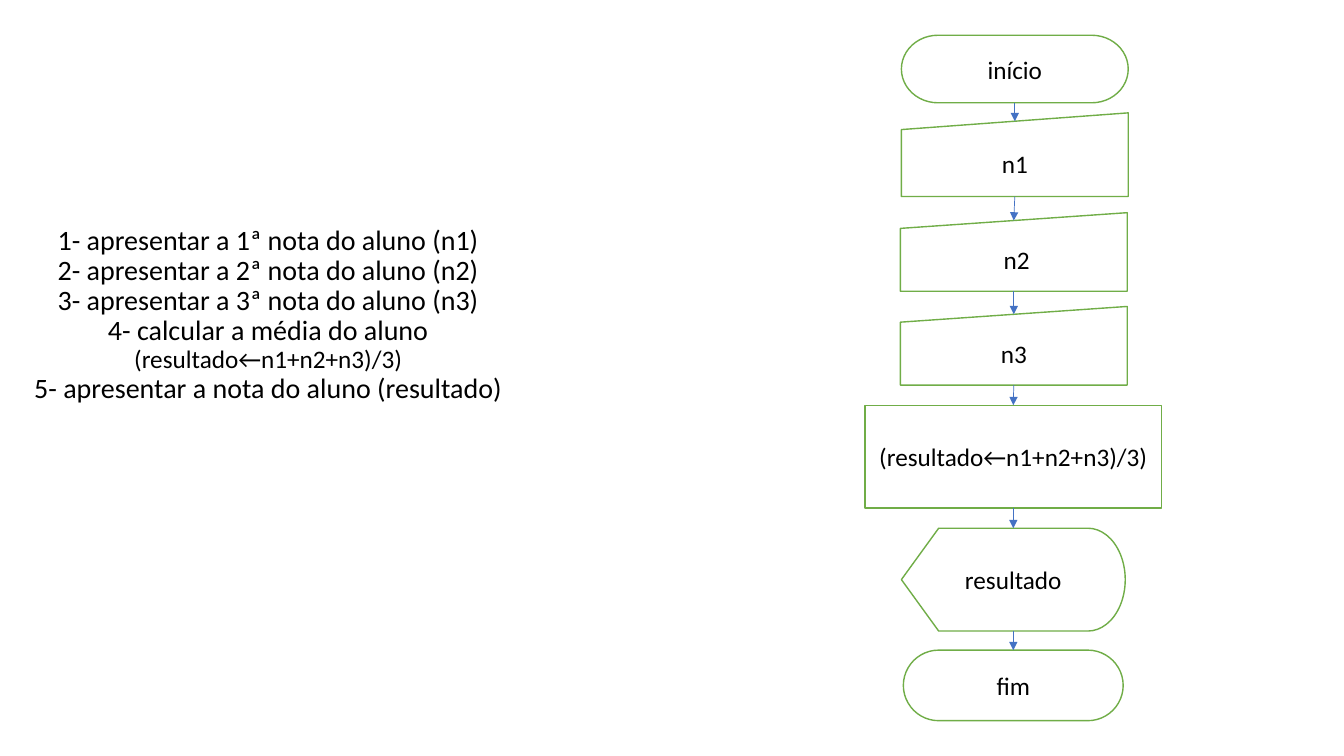
from lxml import etree
from pptx import Presentation
from pptx.dml.color import RGBColor
from pptx.enum.shapes import MSO_CONNECTOR, MSO_SHAPE
from pptx.enum.text import MSO_ANCHOR, PP_ALIGN
from pptx.oxml.ns import qn
from pptx.util import Inches, Pt

BLACK = RGBColor(0x00, 0x00, 0x00)
WHITE = RGBColor(0xFF, 0xFF, 0xFF)
GREEN = RGBColor(0x70, 0xAD, 0x47)
BLUE = RGBColor(0x44, 0x72, 0xC4)

TERMINATOR = MSO_SHAPE.FLOWCHART_TERMINATOR
MANUAL_INPUT = MSO_SHAPE.FLOWCHART_MANUAL_INPUT
PROCESS = MSO_SHAPE.FLOWCHART_PROCESS
DISPLAY = MSO_SHAPE.FLOWCHART_DISPLAY
STRAIGHT = MSO_CONNECTOR.STRAIGHT
CENTER = PP_ALIGN.CENTER
MIDDLE, BOTTOM = MSO_ANCHOR.MIDDLE, MSO_ANCHOR.BOTTOM

TOP_SITE, BOTTOM_SITE = 0, 2
FORMULA = "(resultado←n1+n2+n3)/3)"


def add_run(paragraph, text, size=18, color=BLACK, font="Calibri"):
    run = paragraph.add_run()
    run.text = text
    run.font.size = Pt(size)
    run.font.name = font
    run.font.color.rgb = color


class FlowSlide:
    """Holds the slide and the flowchart style."""

    def __init__(self, slide, fill=WHITE, outline=GREEN, arrow=BLUE):
        self.slide = slide
        self.fill, self.outline, self.arrow_color = fill, outline, arrow

    def text_lines(self, lines, left, top, width, height):
        """Bottom-anchored paragraph of (text, size) lines."""
        box = self.slide.shapes.add_textbox(
            Inches(left), Inches(top), Inches(width), Inches(height))
        frame = box.text_frame
        frame.word_wrap = True
        frame.vertical_anchor = BOTTOM
        paragraph = frame.paragraphs[0]
        paragraph.alignment = CENTER
        paragraph.line_spacing = 0.9
        for number, (text, size) in enumerate(lines):
            if number:
                paragraph.add_line_break()
            add_run(paragraph, text, size=size)

    def step(self, kind, text, left, top, width, height):
        shape = self.slide.shapes.add_shape(
            kind, Inches(left), Inches(top), Inches(width), Inches(height))
        shape.shadow.inherit = False
        shape.fill.solid()
        shape.fill.fore_color.rgb = self.fill
        shape.line.color.rgb = self.outline
        shape.line.width = Pt(1)
        frame = shape.text_frame
        frame.word_wrap = True
        frame.vertical_anchor = MIDDLE
        frame.paragraphs[0].alignment = CENTER
        add_run(frame.paragraphs[0], text)
        return shape

    def arrow(self, start, end):
        link = self.slide.shapes.add_connector(STRAIGHT, 0, 0, 0, 0)
        link.begin_connect(start, BOTTOM_SITE)
        link.end_connect(end, TOP_SITE)
        if end.auto_shape_type == MANUAL_INPUT:
            # The slanted top edge is a tenth down at its middle
            link.end_y = end.top + end.height // 10
        link.line.color.rgb = self.arrow_color
        link.line.width = Pt(0.5)
        line = link.line._get_or_add_ln()
        etree.SubElement(line, qn("a:tailEnd"), type="triangle")
        etree.SubElement(link._element.spPr, qn("a:effectLst"))


prs = Presentation()
prs.slide_width, prs.slide_height = Inches(13.33), Inches(7.5)
flow = FlowSlide(prs.slides.add_slide(prs.slide_layouts[6]))

# Algorithm in words
ordinals = [(f"{n}- apresentar a {n}ª nota do aluno (n{n})", 20) for n in (1, 2, 3)]
flow.text_lines(ordinals + [
    ("4- calcular a média do aluno", 20),
    (FORMULA, 18),
    ("5- apresentar a nota do aluno (resultado)", 20),
], -0.01, -3.44, 5.34, 7.5)

# Flowchart steps, from top to bottom
STEPS = [
    (TERMINATOR, "início", 8.94, 0.35, 2.25, 0.67),
    (MANUAL_INPUT, "n1", 8.94, 1.12, 2.25, 0.83),
    (MANUAL_INPUT, " n2", 8.93, 2.11, 2.25, 0.78),
    (MANUAL_INPUT, "n3", 8.93, 3.04, 2.25, 0.78),
    (PROCESS, FORMULA, 8.58, 4.02, 2.94, 1.02),
    (DISPLAY, "resultado", 8.94, 5.24, 2.22, 1.02),
    (TERMINATOR, "fim", 8.96, 6.45, 2.18, 0.7),
]
steps = [flow.step(*step) for step in STEPS]

# Arrows between neighbouring steps
for start, end in zip(steps, steps[1:]):
    flow.arrow(start, end)

prs.save("out.pptx")
